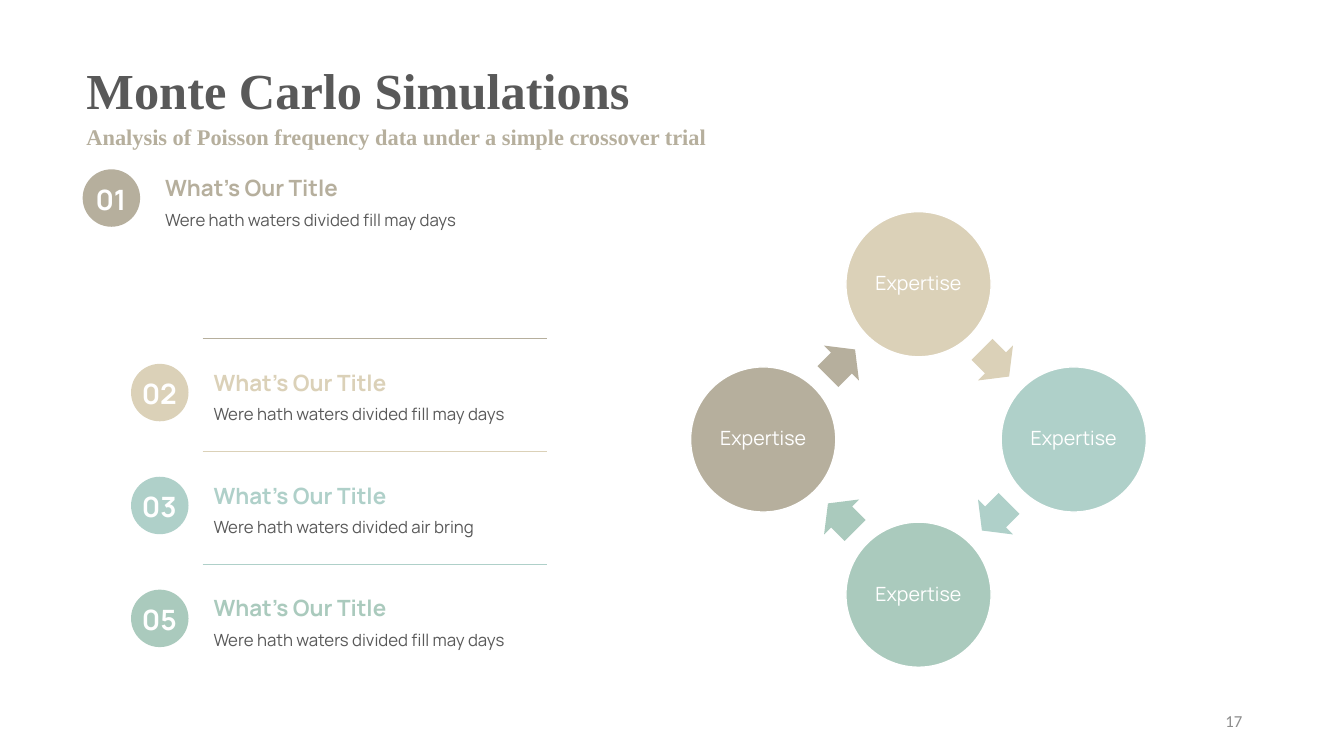
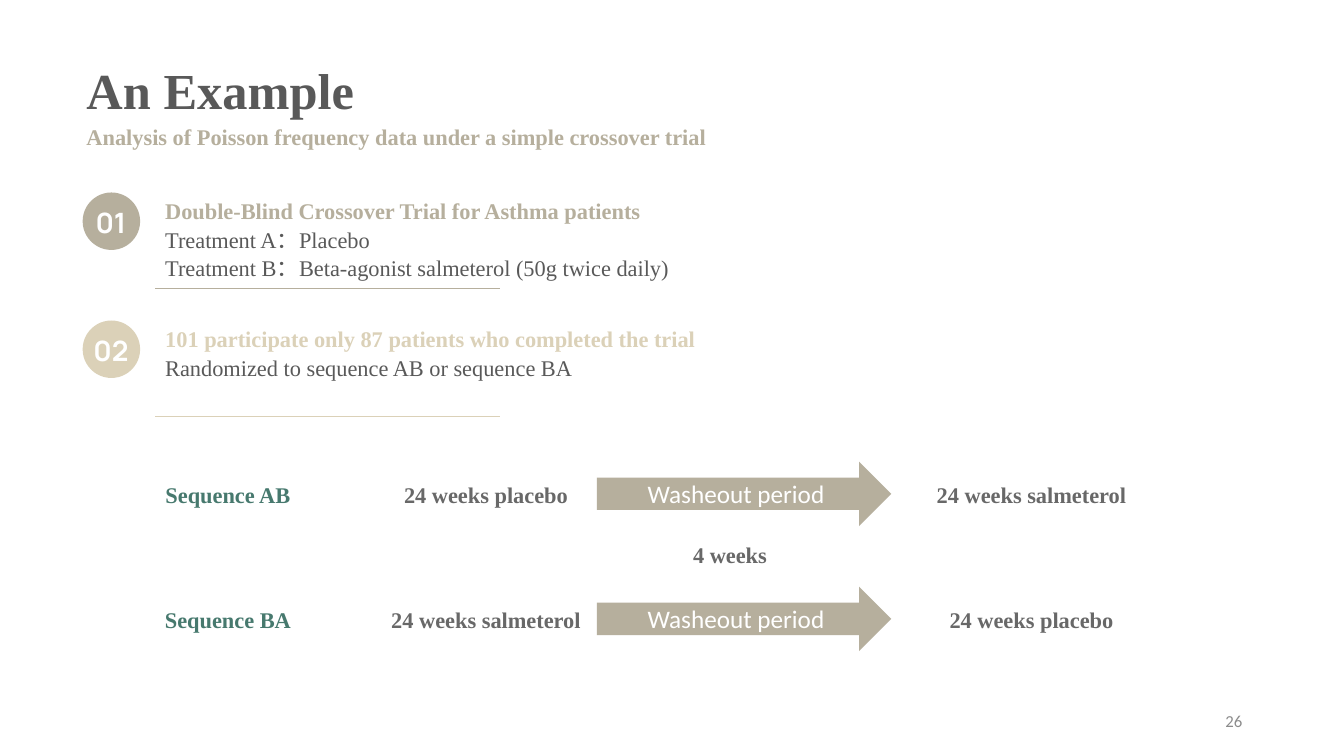
from math import cos, radians, sin

from lxml.etree import SubElement
from pptx import Presentation
from pptx.dml.color import RGBColor
from pptx.enum.shapes import MSO_CONNECTOR as Link, MSO_SHAPE as Preset
from pptx.enum.text import MSO_ANCHOR as Anchor, PP_ALIGN as Align
from pptx.oxml.ns import qn
from pptx.util import Pt

SCALE = 9144
COLORS = {
    "taupe": "B6AF9D",
    "sand": "DBD1B8",
    "aqua": "AFD0C9",
    "sage": "AACABD",
    "pine": "47796E",
    "ink": "595959",
    "label": "686868",
    "number": "8C8C8C",
    "white": "FFFFFF",
}
SERIF, SANS, PLAIN = "Times New Roman", "Manrope", "Calibri"
FONTS = {
    "title": {"name": SERIF, "size": Pt(36), "bold": True},
    "strong": {"name": SERIF, "size": Pt(16), "bold": True},
    "text": {"name": SERIF, "size": Pt(16)},
    "heading": {"name": SANS, "size": Pt(16), "bold": True},
    "body": {"name": SANS, "size": Pt(12)},
    "badge": {"name": SANS, "size": Pt(20), "bold": True},
    "cycle": {"name": SANS, "size": Pt(14)},
    "arrow": {"name": PLAIN, "size": Pt(18)},
    "page": {"name": PLAIN, "size": Pt(12)},
}
SUBTITLE = "Analysis of Poisson frequency data under a simple crossover trial"


def px(*lengths):
    return [round(length * SCALE) for length in lengths]


def rgb(color):
    return RGBColor.from_string(COLORS[color])


class Deck:
    def __init__(self):
        self.presentation = Presentation()
        self.presentation.slide_width, self.presentation.slide_height = px(1333, 750)
        self.slide = None

    def page(self, title, number):
        blank = self.presentation.slide_layouts[6]
        self.slide = self.presentation.slides.add_slide(blank)
        self.text(title, (76, 54, 687, 71), "title", "ink")
        self.text(SUBTITLE, (76, 117, 720, 34), "strong", "taupe")
        self.text(number, (942, 695, 300, 40), "page", "number",
                  align=Align.RIGHT, anchor=Anchor.MIDDLE)

    def fill_text(self, shape, words, font, color, align, anchor, spacing=None):
        frame = shape.text_frame
        frame.word_wrap = True
        frame.vertical_anchor = anchor
        for index, line in enumerate(words.split("\n")):
            para = frame.paragraphs[0] if index == 0 else frame.add_paragraph()
            para.alignment = align
            para.line_spacing = spacing
            span = para.add_run()
            span.text = line
            for name, value in FONTS[font].items():
                setattr(span.font, name, value)
            span.font.color.rgb = rgb(color)

    def text(self, words, place, font, color, align=Align.LEFT,
             anchor=Anchor.TOP, spacing=None):
        box = self.slide.shapes.add_textbox(*px(*place))
        self.fill_text(box, words, font, color, align, anchor, spacing)

    def shape(self, preset, place, fill, words="", font="arrow", outline=None,
              rotation=0, adjustments=(), inset=None, spacing=None):
        shape = self.slide.shapes.add_shape(preset, *px(*place))
        shape.shadow.inherit = False
        shape.fill.solid()
        shape.fill.fore_color.rgb = rgb(fill)
        shape.rotation = rotation
        for index, value in enumerate(adjustments):
            shape.adjustments[index] = value
        if outline:
            shape.line.color.rgb = rgb(outline)
            shape.line.width = Pt(1)
        else:
            shape.line.fill.background()
        if inset is not None:
            for side in ("left", "top", "right", "bottom"):
                setattr(shape.text_frame, f"margin_{side}", px(inset)[0])
        if words:
            self.fill_text(shape, words, font, "white", Align.CENTER,
                           Anchor.MIDDLE, spacing)

    def rule(self, left, top, color):
        line = self.slide.shapes.add_connector(
            Link.STRAIGHT, *px(left, top, left + 342, top))
        line.line.color.rgb = rgb(color)
        line.line.width = Pt(0.5)
        SubElement(line._element.spPr, qn("a:effectLst"))

    def step(self, left, top, badge, heading, body, color, fonts, width):
        heading_font, body_font = fonts
        self.shape(Preset.OVAL, (left, top, 57, 57), color)
        self.text(badge, (left - 6, top + 8, 68, 44), "badge", "white",
                  align=Align.CENTER)
        self.text(heading, (left + 72, top, width, 37), heading_font, color)
        self.text(body, (left + 72, top + 27, width, 36), body_font, "ink",
                  spacing=Pt(20))

    def cycle(self, center_x, center_y, words, colors):
        for index, color in enumerate(colors):
            turn = 90 * index
            spot = radians(turn - 90)
            x, y = center_x + 154 * cos(spot), center_y + 154 * sin(spot)
            self.shape(Preset.OVAL, (x - 72, y - 72, 144, 144), color, words,
                       "cycle", outline="white", inset=2, spacing=0.9)
            spot = radians(turn - 45)
            x, y = center_x + 108 * cos(spot), center_y + 108 * sin(spot)
            self.shape(Preset.RIGHT_ARROW, (x - 19, y - 24, 38, 49), color,
                       rotation=turn + 45, adjustments=(0.6, 0.5))

    def sequence(self, top, name, first, second):
        self.shape(Preset.RIGHT_ARROW, (592, top, 292, 64), "taupe",
                   "Washeout period")
        cells = ((name, 139, 174, "pine"), (first, 311, 342, "label"),
                 (second, 852, 342, "label"))
        for words, left, width, color in cells:
            self.text(words, (left, top + 14, width, 37), "strong", color,
                      align=Align.CENTER)


def simulations(deck):
    deck.page("Monte Carlo Simulations", "17")
    deck.cycle(911, 436, "Expertise", ("sand", "aqua", "sage", "taupe"))
    days = "Were hath waters divided fill may days"
    steps = (
        (82, 168, "01", days, "taupe"),
        (130, 361, "02", days, "sand"),
        (130, 473, "03", "Were hath waters divided air bring", "aqua"),
        (130, 585, "05", days, "sage"),
    )
    for left, top, badge, body, color in steps:
        deck.step(left, top, badge, "What’s Our Title", body, color,
                  ("heading", "body"), 347)
    for index, color in enumerate(("taupe", "sand", "aqua")):
        deck.rule(201, 336 + 112 * index, color)


def example(deck):
    deck.page("An Example", "26")
    steps = (
        ("Double-Blind Crossover Trial for Asthma patients",
         "Treatment A：Placebo\n"
         "Treatment B：Beta-agonist salmeterol (50g twice daily)", "taupe"),
        ("101 participate only 87 patients who completed the trial",
         "Randomized to sequence AB or sequence BA", "sand"),
    )
    for index, (heading, body, color) in enumerate(steps):
        top = 191 + 127 * index
        deck.step(82, top, f"{index + 1:02}", heading, body, color,
                  ("strong", "text"), 643)
        deck.rule(154, top + 95, color)
    placebo, salmeterol = "24 weeks placebo", "24 weeks salmeterol"
    deck.sequence(458, "Sequence AB", placebo, salmeterol)
    deck.sequence(582, "Sequence BA", salmeterol, placebo)
    deck.text("4 weeks", (553, 532, 342, 37), "strong", "label",
              align=Align.CENTER)


def main():
    deck = Deck()
    simulations(deck)
    example(deck)
    deck.presentation.save("out.pptx")


if __name__ == "__main__":
    main()
